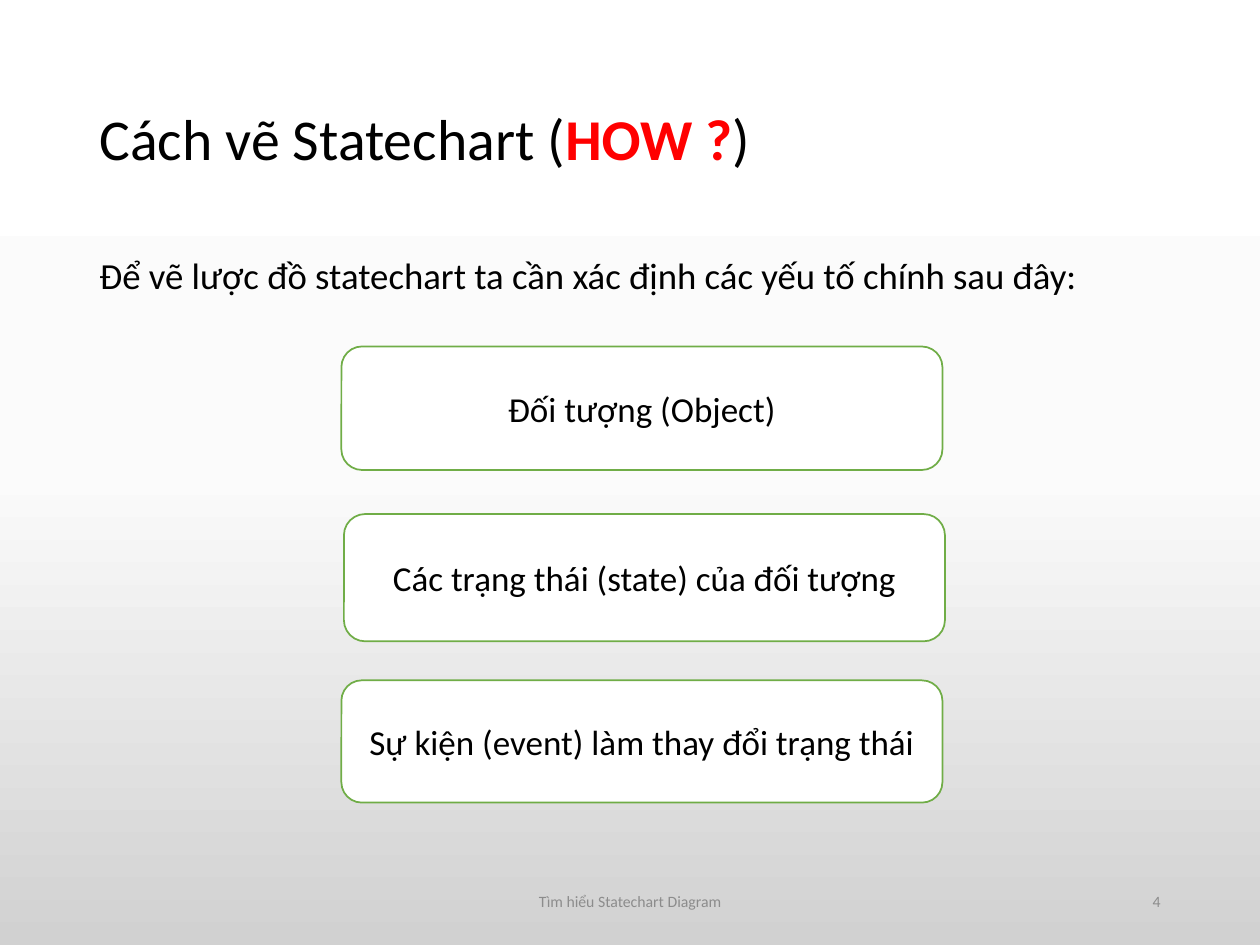
from copy import deepcopy

from pptx import Presentation
from pptx import util as u
from pptx.dml.color import RGBColor
from pptx.enum import shapes, text
from pptx.oxml.ns import qn

COLORS = {
    "black": "000000",
    "red": "FF0000",
    "gray": "8C8C8C",
    "white": "FFFFFF",
    "green": "70AD47",
}
GRADIENT = [(0, "FFFFFF"), (0.5, "FBFBFB"), (1, "D1D1D1")]
STEPS = [
    ("Đối tượng (Object)", 2.71, 2.75, 0.98),
    ("Các trạng thái (state) của đối tượng", 2.73, 4.08, 1.01),
    ("Sự kiện (event) làm thay đổi trạng thái", 2.71, 5.4, 0.97),
]
STEP_WIDTH = 4.77


def rgb(name):
    return RGBColor.from_string(COLORS[name])


def place(sp, *box):
    for side, value in zip(("left", "top", "width", "height"), box):
        setattr(sp, side, u.Inches(value))


def write(sp, runs, size, align=text.PP_ALIGN.LEFT,
          anchor=text.MSO_ANCHOR.MIDDLE, **spacing):
    tf = sp.text_frame
    frame_format = {
        "word_wrap": True,
        "auto_size": text.MSO_AUTO_SIZE.NONE,
        "vertical_anchor": anchor,
    }
    for name, value in frame_format.items():
        setattr(tf, name, value)
    p = tf.paragraphs[0]
    for name, value in {"alignment": align, **spacing}.items():
        setattr(p, name, value)
    for content, color, bold in runs:
        r = p.add_run()
        r.text = content
        font_format = {"name": "Calibri", "size": u.Pt(size), "bold": bold}
        for name, value in font_format.items():
            setattr(r.font, name, value)
        r.font.color.rgb = rgb(color)


def paint_background(s):
    fill = s.background.fill
    fill.gradient()
    fill.gradient_angle = 270
    stop_list = s._element.find(".//" + qn("a:gsLst"))
    stop_list.append(deepcopy(stop_list[-1]))
    for stop, (position, color) in zip(fill.gradient_stops, GRADIENT):
        stop.position = position
        stop.color.rgb = RGBColor.from_string(color)


def add_title(s, runs):
    sp = s.shapes.title
    place(sp, 0.69, 0.4, 8.62, 1.45)
    write(sp, runs, 33, line_spacing=0.9)


def add_text(s, content, box, size, color, **layout):
    sp = s.shapes.add_textbox(*map(u.Inches, box))
    write(sp, [(content, color, False)], size, **layout)


def add_step(s, content, left, top, height):
    box = map(u.Inches, (left, top, STEP_WIDTH, height))
    sp = s.shapes.add_shape(shapes.MSO_SHAPE.ROUNDED_RECTANGLE, *box)
    sp.shadow.inherit = False
    sp.fill.solid()
    sp.fill.fore_color.rgb = rgb("white")
    sp.line.color.rgb = rgb("green")
    sp.line.width = u.Pt(1)
    write(sp, [(content, "black", False)], 20, text.PP_ALIGN.CENTER)


def main():
    prs = Presentation()
    prs.slide_width, prs.slide_height = u.Inches(10), u.Inches(7.5)
    s = prs.slides.add_slide(prs.slide_layouts[5])
    paint_background(s)
    add_title(s, [
        ("Cách vẽ Statechart (", "black", False),
        ("HOW ?", "red", True),
        (")", "black", False),
    ])
    add_text(s, "Để vẽ lược đồ statechart ta cần xác định các yếu tố chính sau đây:",
             (0.69, 2, 8.62, 4.76), 21, "black", anchor=text.MSO_ANCHOR.TOP,
             line_spacing=0.9, space_before=u.Pt(7.5))
    add_text(s, "Tìm hiểu Statechart Diagram", (3.31, 6.95, 3.38, 0.4), 9, "gray",
             align=text.PP_ALIGN.CENTER)
    add_text(s, "4", (7.06, 6.95, 2.25, 0.4), 9, "gray", align=text.PP_ALIGN.RIGHT)
    for step in STEPS:
        add_step(s, *step)
    prs.save("out.pptx")


if __name__ == "__main__":
    main()
